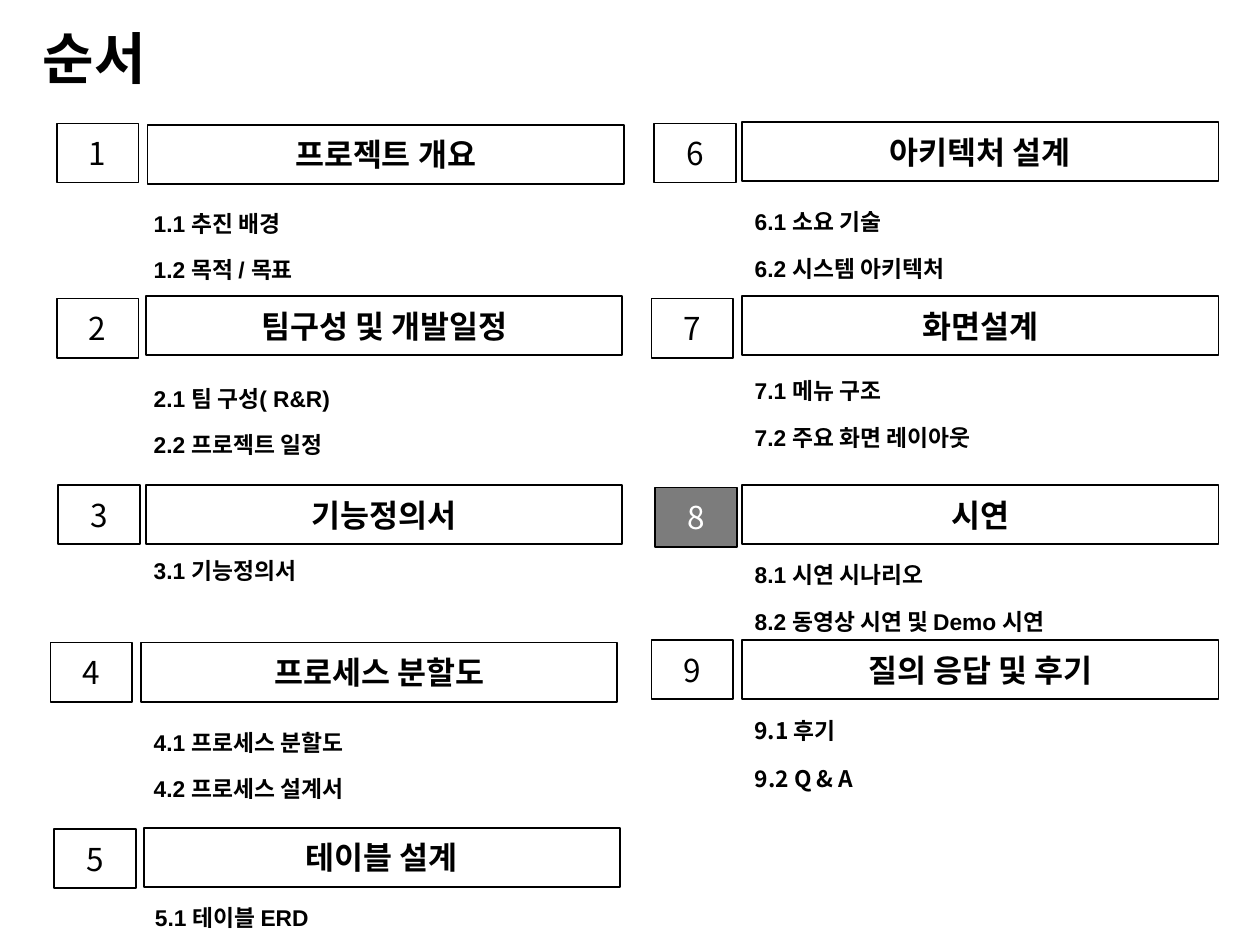
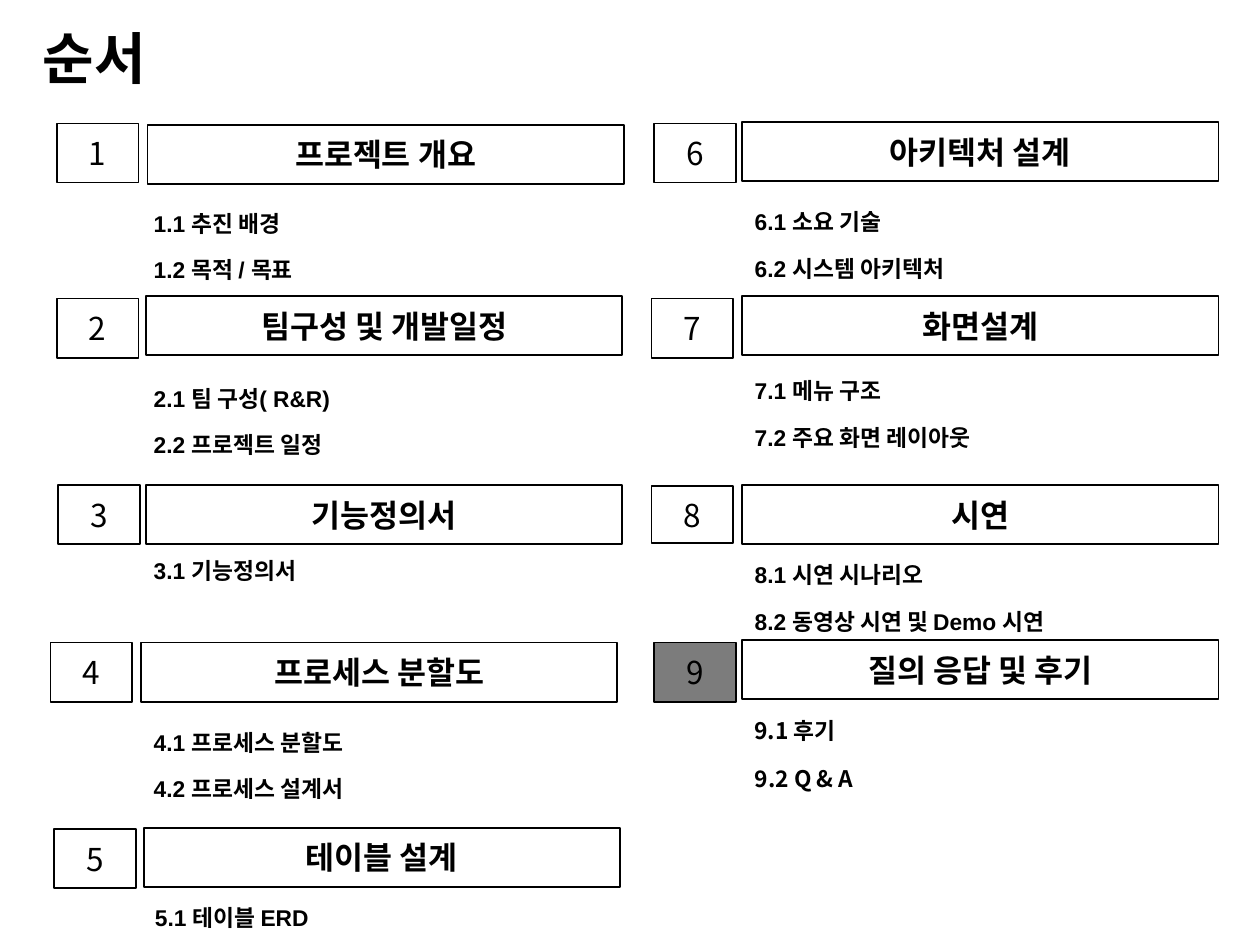
from dataclasses import dataclass

from lxml import etree
from pptx import Presentation
from pptx.dml.color import RGBColor
from pptx.enum.shapes import MSO_SHAPE
from pptx.enum.text import MSO_ANCHOR, MSO_AUTO_SIZE, PP_ALIGN
from pptx.oxml.ns import qn
from pptx.util import Inches, Pt

RECT = MSO_SHAPE.RECTANGLE
MIDDLE = MSO_ANCHOR.MIDDLE
NO_FIT, GROW = MSO_AUTO_SIZE.NONE, MSO_AUTO_SIZE.SHAPE_TO_FIT_TEXT
LEFT, CENTER, JUSTIFY = PP_ALIGN.LEFT, PP_ALIGN.CENTER, PP_ALIGN.JUSTIFY

COLORS = {"ink": "000000", "white": "FFFFFF", "current": "7C7C7C"}
KOREAN, LATIN = "Noto Sans CJK KR", "Arial"
TITLE_ONLY = 5
NUMBER_W, HEADING_W, BOX_H = 0.65, 3.78, 0.47
RIGHT_X, RIGHT_TOPICS_X, RIGHT_TOPICS_W = 5.89, 5.97, 3.74


@dataclass
class Section:
    number: int
    number_at: tuple
    heading: str
    heading_at: tuple
    topics: tuple = ()
    topics_at: tuple = ()
    topics_w: float = HEADING_W
    number_h: float = BOX_H


SECTIONS = [
    Section(1, (0.45, 0.98), "프로젝트 개요", (1.17, 0.99),
            (" 1.1 추진 배경", " 1.2 목적 / 목표"), (1.15, 1.57)),
    Section(2, (0.45, 2.37), "팀구성 및 개발일정", (1.16, 2.35),
            ("2.1 팀 구성( R&R)", "2.2 프로젝트 일정"), (1.2, 2.96)),
    Section(3, (0.46, 3.85), "기능정의서", (1.16, 3.85),
            ("3.1 기능정의서",), (1.2, 4.33)),
    Section(4, (0.4, 5.1), "프로세스 분할도", (1.12, 5.1),
            ("4.1 프로세스 분할도", "4.2 프로세스 설계서"), (1.2, 5.69)),
    Section(5, (0.43, 6.58), "테이블 설계", (1.14, 6.57),
            ("5.1 테이블 ERD",), (1.21, 7.08)),
    Section(6, (5.19, 0.98), "아키텍처 설계", (RIGHT_X, 0.97),
            ("6.1 소요 기술", "6.2 시스템 아키텍처"),
            (RIGHT_TOPICS_X, 1.56), RIGHT_TOPICS_W),
    Section(7, (5.17, 2.37), "화면설계", (RIGHT_X, 2.35),
            ("7.1 메뉴 구조", "7.2 주요 화면 레이아웃"),
            (RIGHT_TOPICS_X, 2.9), RIGHT_TOPICS_W),
    Section(8, (5.17, 3.86), "시연", (RIGHT_X, 3.85),
            ("8.1 시연 시나리오 ", "8.2 동영상 시연 및 Demo 시연"),
            (RIGHT_TOPICS_X, 4.36), RIGHT_TOPICS_W, 0.45),
    Section(9, (5.17, 5.08), "질의 응답 및 후기", (RIGHT_X, 5.08)),
]


def rgb(name):
    return RGBColor.from_string(COLORS[name])


def write(p, text, size=13, font=KOREAN, color="ink", bold=True,
          align=LEFT, line=None, before_pct=None):
    p.alignment = align
    if line:
        p.line_spacing = line
    if before_pct:
        spacing = etree.SubElement(p._p.get_or_add_pPr(), qn("a:spcBef"))
        etree.SubElement(spacing, qn("a:spcPct"), val=str(before_pct * 1000))
    r = p.add_run()
    r.text = text
    f = r.font
    f.name, f.size, f.bold = font, Pt(size), bold
    f.color.rgb = rgb(color)
    etree.SubElement(r._r.get_or_add_rPr(), qn("a:ea"), typeface=KOREAN)


def add_title(s, text):
    sp = s.shapes.title
    sp.left, sp.top = Inches(0.24), Inches(0.15)
    sp.width, sp.height = Inches(1.12), Inches(0.67)
    tf = sp.text_frame
    tf.auto_size = NO_FIT
    tf.vertical_anchor = MIDDLE
    write(tf.paragraphs[0], text, size=32, line=0.9)


def add_box(s, text, at, w, h=BOX_H, fill=None, **text_format):
    sp = s.shapes.add_shape(RECT, *map(Inches, (*at, w, h)))
    sp.shadow.inherit = False
    if fill:
        sp.fill.solid()
        sp.fill.fore_color.rgb = rgb(fill)
    else:
        sp.fill.background()
    sp.line.color.rgb = rgb("ink")
    sp.line.width = Pt(1)
    tf = sp.text_frame
    tf.vertical_anchor = MIDDLE
    write(tf.paragraphs[0], text, size=18, align=CENTER, **text_format)


def add_topics(s, topics, at, w, font=LATIN):
    h = 0.36 + 0.4 * (len(topics) - 1)
    tf = s.shapes.add_textbox(*map(Inches, (*at, w, h))).text_frame
    tf.word_wrap = True
    tf.auto_size = GROW
    tf.margin_left = tf.margin_right = Inches(0.02)
    for i, topic in enumerate(topics):
        p = tf.add_paragraph() if i else tf.paragraphs[0]
        write(p, topic, font=font, align=JUSTIFY, line=1.2, before_pct=60)


def add_label(s, text, at, w, h):
    tf = s.shapes.add_textbox(*map(Inches, (*at, w, h))).text_frame
    tf.word_wrap = False
    tf.auto_size = GROW
    write(tf.paragraphs[0], text)


def add_agenda(prs, current, current_at, current_color):
    s = prs.slides.add_slide(prs.slide_layouts[TITLE_ONLY])
    add_title(s, "순서")
    for section in SECTIONS:
        add_box(s, section.heading, section.heading_at, HEADING_W)
        if section.number == current:
            add_box(s, str(current), current_at, NUMBER_W, fill="current",
                    color=current_color, bold=False)
        else:
            add_box(s, str(section.number), section.number_at, NUMBER_W,
                    section.number_h, bold=False)
        if section.topics:
            add_topics(s, section.topics, section.topics_at, section.topics_w)
    add_label(s, "9.1 후기", (RIGHT_X, 5.64), 0.89, 0.32)
    add_topics(s, ("9.2 Q & A",), (RIGHT_TOPICS_X, 5.98), 3.71, font=KOREAN)


def main():
    prs = Presentation()
    prs.slide_width, prs.slide_height = Inches(10), Inches(7.5)
    add_agenda(prs, 8, (5.2, 3.87), "white")
    add_agenda(prs, 9, (5.19, 5.1), "ink")
    prs.save("out.pptx")


if __name__ == "__main__":
    main()
